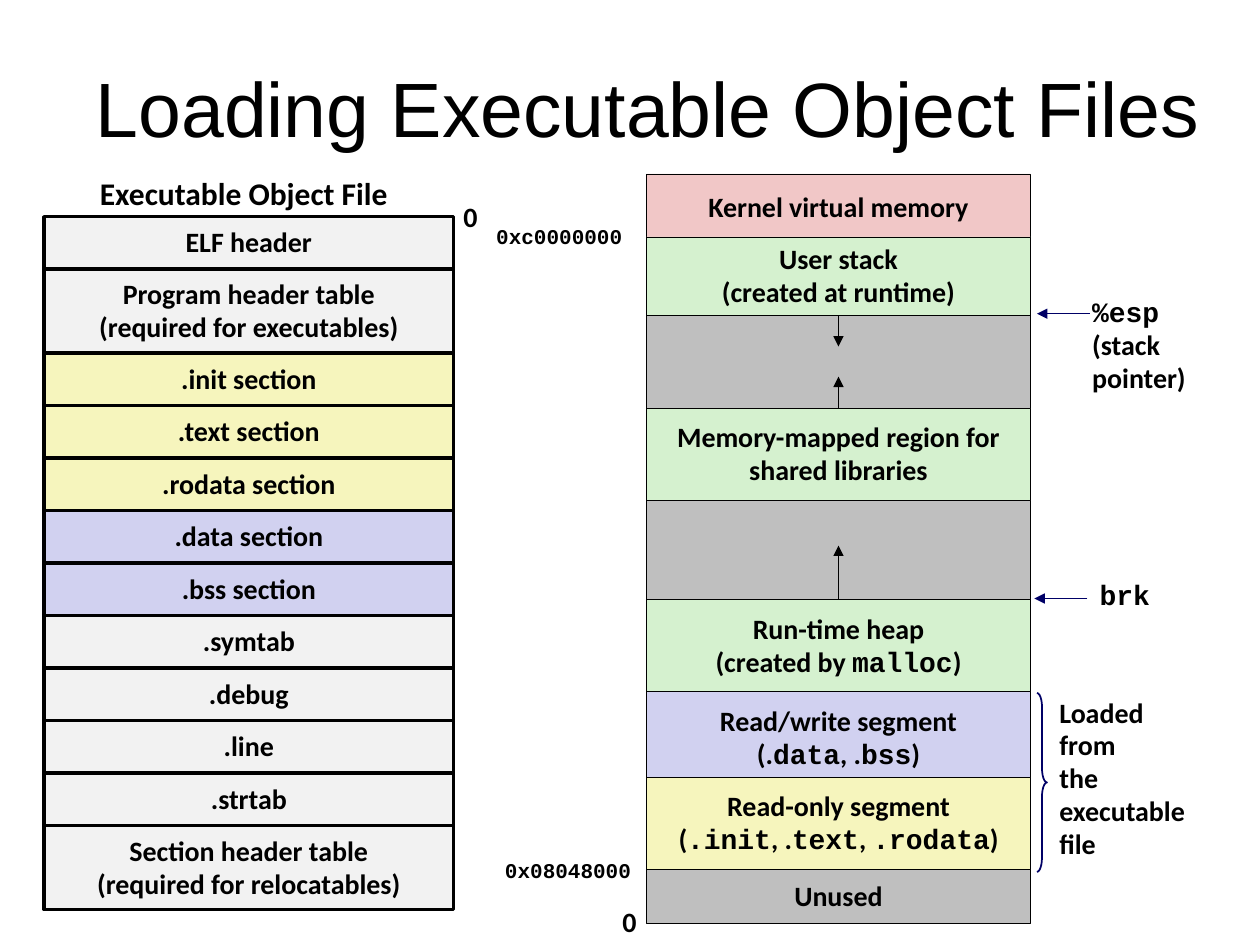
from dataclasses import dataclass
from typing import Optional

from lxml import etree
from pptx import Presentation
from pptx import util as u
from pptx.dml.color import RGBColor
from pptx.enum import shapes, text
from pptx.oxml.ns import qn


@dataclass(frozen=True)
class Theme:
    ink: str = "000000"
    navy: str = "000066"
    header: str = "F2F2F2"
    code: str = "F6F5BD"
    data: str = "D1D1F0"
    kernel: str = "F1C7C7"
    runtime: str = "D5F1CF"
    free: str = "BFBFBF"
    title_font: str = "Arial"
    body_font: str = "Calibri"
    mono_font: str = "Courier New"
    title_size: int = 44
    heading_size: int = 18
    body_size: int = 16
    address_size: int = 12
    thick: float = 2
    thin: float = 0.25
    brace: float = 1


@dataclass(frozen=True)
class Section:
    lines: tuple
    fill: str


@dataclass(frozen=True)
class Region:
    name: str
    top: float
    height: float
    fill: str
    lines: tuple = ()


@dataclass(frozen=True)
class Label:
    left: float
    top: float
    width: float
    height: float
    lines: tuple
    size: int
    centred: bool = False
    wrap: bool = False


@dataclass(frozen=True)
class Arrow:
    start: tuple
    end: tuple
    colour: str
    region: Optional[str] = None
    site: int = 0


THEME = Theme()
FILE_LEFT, FILE_TOP, FILE_WIDTH, FILE_HEIGHT = 0.35, 1.72, 3.25, 5.5
TWO_LINE_RATIO = 1.6
MEMORY_LEFT, MEMORY_WIDTH = 5.13, 3.05
MEMORY_CENTRE = MEMORY_LEFT + MEMORY_WIDTH / 2

SECTIONS = [
    Section(("ELF header",), THEME.header),
    Section(("Program header table", "(required for executables)"), THEME.header),
    Section((".init section",), THEME.code),
    Section((".text section",), THEME.code),
    Section((".rodata section",), THEME.code),
    Section((".data section",), THEME.data),
    Section((".bss section",), THEME.data),
    Section((".symtab",), THEME.header),
    Section((".debug",), THEME.header),
    Section((".line",), THEME.header),
    Section((".strtab",), THEME.header),
    Section(("Section header table", "(required for relocatables)"), THEME.header),
]

REGIONS = [
    Region("kernel", 1.38, 0.53, THEME.kernel, ("Kernel virtual memory",)),
    Region("stack gap", 2.25, 0.99, THEME.free),
    Region("stack", 1.88, 0.62, THEME.runtime, ("User stack", "(created at runtime)")),
    Region("shared", 3.24, 0.73, THEME.runtime,
           ("Memory-mapped region for", "shared libraries")),
    Region("heap gap", 3.97, 0.79, THEME.free),
    Region("heap", 4.76, 0.73, THEME.runtime,
           ("Run-time heap", "(created by `malloc`)")),
    Region("read/write", 5.49, 0.73, THEME.data,
           ("Read/write segment", "(.`data`, .`bss`)")),
    Region("read-only", 6.17, 0.73, THEME.code,
           ("Read-only segment", "(`.init`, .`text`, `.rodata`)")),
    Region("unused", 6.9, 0.43, THEME.free, ("Unused",)),
]

LABELS = [
    Label(0.69, 1.35, 2.49, 0.4, ("Executable Object File",), THEME.heading_size, centred=True),
    Label(3.58, 1.55, 0.31, 0.36, ("0",), THEME.body_size),
    Label(4.84, 7.14, 0.31, 0.36, ("0",), THEME.body_size),
    Label(3.84, 1.74, 1.2, 0.29, ("`0xc0000000`",), THEME.address_size),
    Label(3.91, 6.77, 1.2, 0.29, ("`0x08048000`",), THEME.address_size),
    Label(8.57, 2.31, 0.95, 0.88, ("`%esp`", "(stack", "pointer)"), THEME.body_size),
    Label(8.63, 4.56, 0.6, 0.35, ("`brk`",), THEME.body_size),
    Label(8.31, 5.48, 1.6, 1.41, ("Loaded", "from", "the", "executable", "file"),
          THEME.body_size, wrap=True),
]

ARROWS = [
    Arrow((MEMORY_CENTRE, 2.5), (MEMORY_CENTRE, 2.75), THEME.ink, "stack", 2),
    Arrow((MEMORY_CENTRE, 3.24), (MEMORY_CENTRE, 2.99), THEME.ink, "shared"),
    Arrow((MEMORY_CENTRE, 4.76), (MEMORY_CENTRE, 4.33), THEME.ink, "heap"),
    Arrow((8.65, 2.49), (8.23, 2.49), THEME.navy),
    Arrow((8.63, 4.75), (8.21, 4.75), THEME.navy),
]


def write_lines(frame, lines: tuple, size: int, centred: bool) -> None:
    for index, line in enumerate(lines):
        para = frame.add_paragraph() if index else frame.paragraphs[0]
        para.alignment = text.PP_ALIGN.CENTER if centred else text.PP_ALIGN.LEFT
        para.line_spacing = 0.94 if line.startswith("`") else 0.98
        for part, words in enumerate(line.split("`")):
            if words:
                span = para.add_run()
                span.text = words
                span.font.name = THEME.mono_font if part % 2 else THEME.body_font
                span.font.size = u.Pt(size)
                span.font.bold = True
                span.font.color.rgb = RGBColor.from_string(THEME.ink)


def draw_block(page, left: float, top: float, width: float, height: float,
               fill: str, weight: float, lines: tuple):
    box = page.shapes.add_shape(shapes.MSO_SHAPE.RECTANGLE, u.Inches(left), u.Inches(top),
                                u.Inches(width), u.Inches(height))
    box.shadow.inherit = False
    box.fill.solid()
    box.fill.fore_color.rgb = RGBColor.from_string(fill)
    box.line.color.rgb = RGBColor.from_string(THEME.ink)
    box.line.width = u.Pt(weight)
    box.text_frame.word_wrap = False
    box.text_frame.vertical_anchor = text.MSO_ANCHOR.MIDDLE
    write_lines(box.text_frame, lines, THEME.body_size, True)
    return box


def draw_label(page, label: Label) -> None:
    box = page.shapes.add_textbox(u.Inches(label.left), u.Inches(label.top),
                                  u.Inches(label.width), u.Inches(label.height))
    box.text_frame.word_wrap = label.wrap
    box.text_frame.auto_size = text.MSO_AUTO_SIZE.SHAPE_TO_FIT_TEXT
    write_lines(box.text_frame, label.lines, label.size, label.centred)


def draw_arrow(page, arrow: Arrow, blocks: dict) -> None:
    line = page.shapes.add_connector(shapes.MSO_CONNECTOR.STRAIGHT,
                                     *map(u.Inches, arrow.start + arrow.end))
    if arrow.region:
        line.begin_connect(blocks[arrow.region], arrow.site)
    line.line.color.rgb = RGBColor.from_string(arrow.colour)
    line.line.width = u.Pt(THEME.thin)
    etree.SubElement(line.line._get_or_add_ln(), qn("a:tailEnd"), type="triangle")
    etree.SubElement(line._element.spPr, qn("a:effectLst"))


def draw_title(page, words: str) -> None:
    title = page.shapes.title
    title.left, title.top, title.width, title.height = map(u.Inches, (0.38, 0.42, 9.53, 0.86))
    title.text_frame.auto_size = text.MSO_AUTO_SIZE.NONE
    title.text_frame.vertical_anchor = text.MSO_ANCHOR.MIDDLE
    para = title.text_frame.paragraphs[0]
    para.alignment = text.PP_ALIGN.CENTER
    span = para.add_run()
    span.text = words
    span.font.name = THEME.title_font
    span.font.size = u.Pt(THEME.title_size)
    span.font.color.rgb = RGBColor.from_string(THEME.ink)


def draw_brace(page) -> None:
    brace = page.shapes.add_shape(shapes.MSO_SHAPE.RIGHT_BRACE, u.Inches(8.23), u.Inches(5.5),
                                  u.Inches(0.08), u.Inches(1.42))
    brace.shadow.inherit = False
    brace.adjustments[0] = 1.4
    brace.fill.background()
    brace.line.color.rgb = RGBColor.from_string(THEME.navy)
    brace.line.width = u.Pt(THEME.brace)


def main() -> None:
    deck = Presentation()
    deck.slide_width, deck.slide_height = u.Inches(10), u.Inches(7.5)
    page = deck.slides.add_slide(deck.slide_layouts[5])
    draw_title(page, "Loading Executable Object Files")

    ratios = [TWO_LINE_RATIO if len(section.lines) > 1 else 1 for section in SECTIONS]
    top = FILE_TOP
    for section, ratio in zip(SECTIONS, ratios):
        height = FILE_HEIGHT * ratio / sum(ratios)
        draw_block(page, FILE_LEFT, top, FILE_WIDTH, height,
                   section.fill, THEME.thick, section.lines)
        top += height

    blocks = {region.name: draw_block(page, MEMORY_LEFT, region.top, MEMORY_WIDTH, region.height,
                                      region.fill, THEME.thin, region.lines)
              for region in REGIONS}
    for arrow in ARROWS:
        draw_arrow(page, arrow, blocks)
    for label in LABELS:
        draw_label(page, label)
    draw_brace(page)
    deck.save("out.pptx")


if __name__ == "__main__":
    main()
